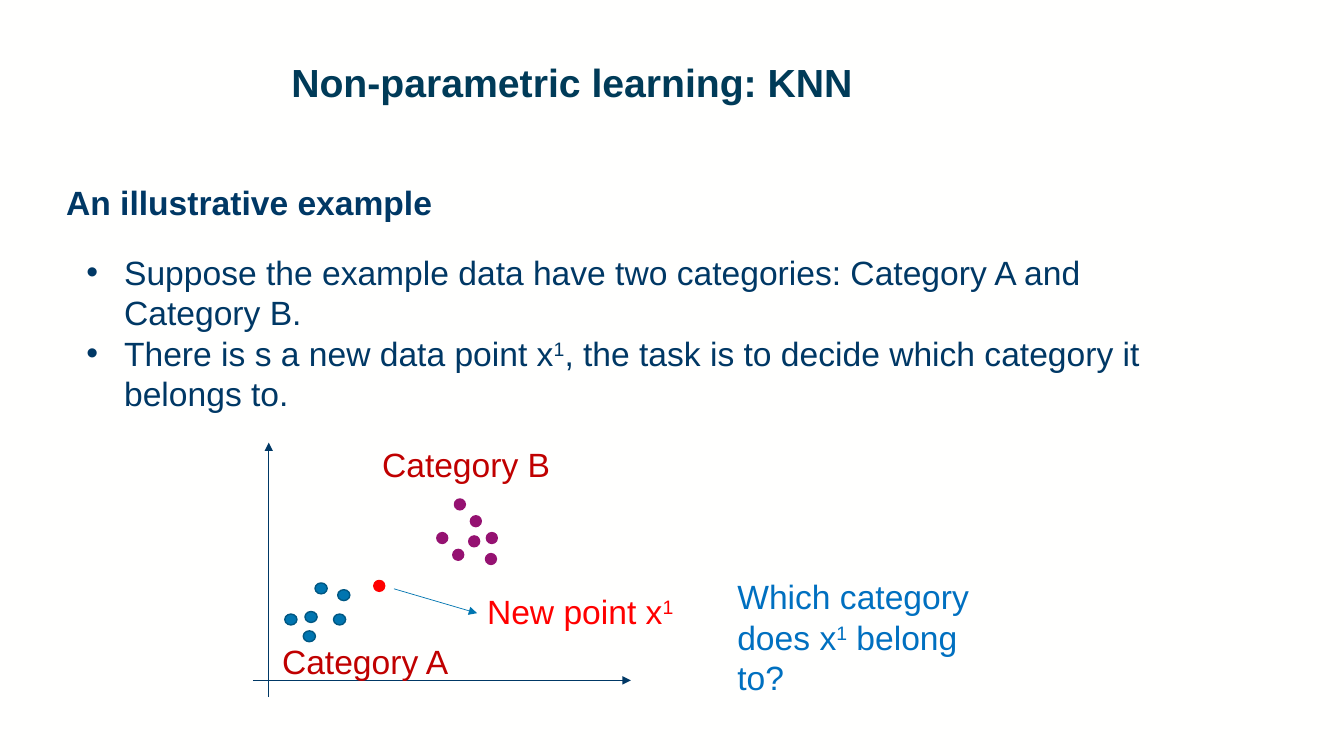
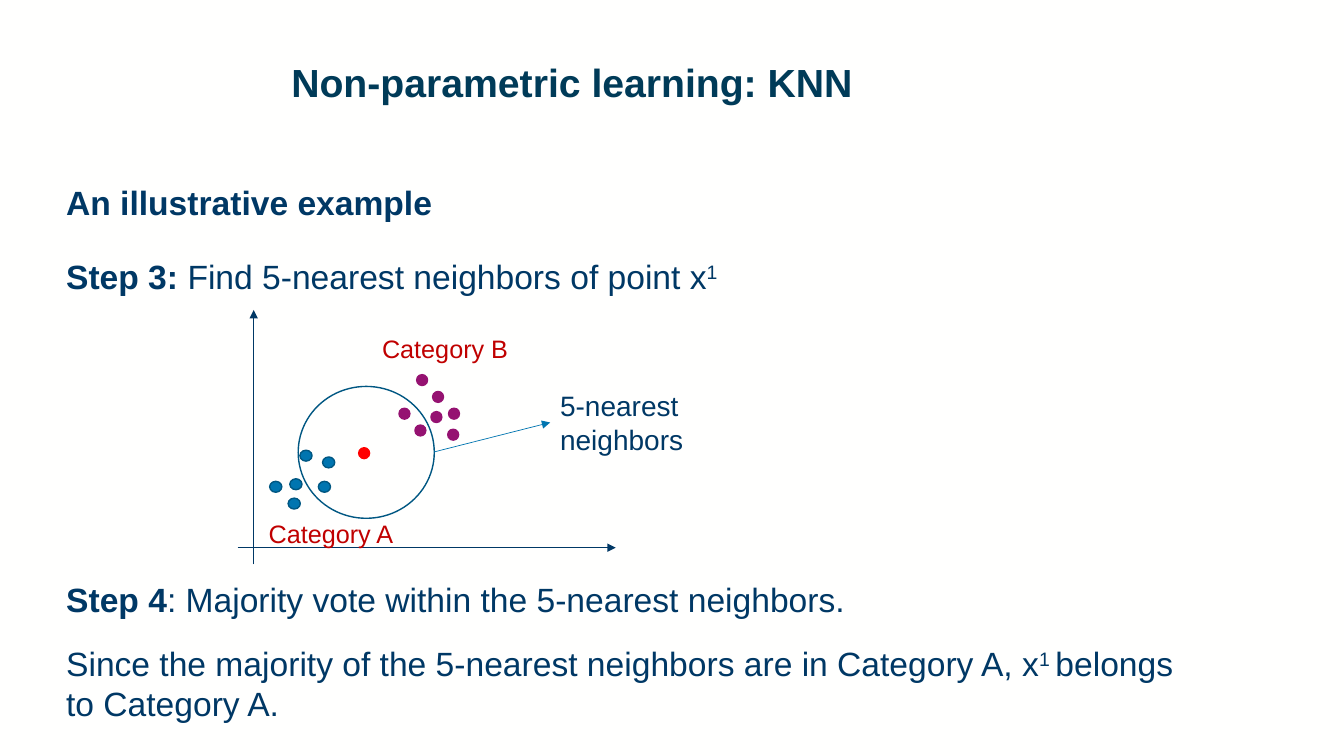
from pptx import Presentation
from pptx.dml.color import RGBColor
from pptx.enum.shapes import MSO_CONNECTOR, MSO_SHAPE
from pptx.oxml import parse_xml
from pptx.oxml.ns import nsdecls
from pptx.util import Emu, Pt

# Grid: 160 columns by 90 rows of 1/12 inch
CELL = 76200
COLUMNS, ROWS = 160, 90

NAVY, TITLE_NAVY, PAPER = "003865", "003B58", "FFFFFE"
BLUE, BLUE_EDGE, QUESTION_BLUE = "0075B0", "005782", "0070C0"
PURPLE, RED, DARK_RED = "951271", "FF0000", "C00000"

# Category A is placed from the axes' corner, category B from its top dot
A_DOTS = [(5.5, -11.6), (8.2, -10.8), (1.9, -7.9),
          (4.1, -5.9), (7.7, -7.9), (4.3, -8.2)]
B_DOTS = [(0, 0), (1.9, 2), (-2.1, 4), (-0.2, 6),
          (1.7, 4.4), (3.7, 6.5), (3.8, 4)]
NEW_POINT = (12.5, -11.9)


def color(value):
    return RGBColor.from_string(value)


def grid(*cells):
    return [Emu(round(cell * CELL)) for cell in cells]


def bold(text):
    return text, "bold"


def raised(text):
    return text, "raised"


class Lesson:
    """Holds the shared style and the current page."""

    font = "Arial"
    body_size = 24

    def __init__(self):
        self.deck = Presentation()
        self.deck.slide_width, self.deck.slide_height = grid(COLUMNS, ROWS)
        self.page = None

    def new_page(self, title, subtitle):
        self.page = self.deck.slides.add_slide(self.deck.slide_layouts[6])
        fill = self.page.background.fill
        fill.solid()
        fill.fore_color.rgb = color(PAPER)
        self.text((33.5, 7, 120.8, 11.6), [[bold(title)]],
                  TITLE_NAVY, 28, spacing=0.9)
        self.text((6.7, 21.1, 97.4, 6), [[bold(subtitle)]])

    def text(self, place, paras, ink=NAVY, size=body_size,
             spacing=None, bullets=False):
        """Each paragraph is a list of plain strings or styled spans."""
        box = self.page.shapes.add_textbox(*grid(*place))
        frame = box.text_frame
        frame.word_wrap = True
        for index, spans in enumerate(paras):
            para = frame.add_paragraph() if index else frame.paragraphs[0]
            if spacing:
                para.line_spacing = spacing
            if bullets:
                self.bullet(para)
            for item in spans:
                words, style = (item, "") if isinstance(item, str) else item
                span = para.add_run()
                span.text = words
                span.font.name = self.font
                span.font.size = Pt(size)
                span.font.bold = style == "bold"
                span.font.color.rgb = color(ink)
                if style == "raised":
                    span._r.get_or_add_rPr().set("baseline", "30000")

    def bullet(self, para):
        indent = grid(4.5)[0]
        properties = para._p.get_or_add_pPr()
        properties.set("marL", str(indent))
        properties.set("indent", str(-indent))
        properties.append(parse_xml(
            f'<a:buFont {nsdecls("a")} typeface="{self.font}"/>'))
        properties.append(parse_xml(f'<a:buChar {nsdecls("a")} char="•"/>'))

    def ellipse(self, place, edge, fill=None):
        shape = self.page.shapes.add_shape(MSO_SHAPE.OVAL, *grid(*place))
        shape.shadow.inherit = False
        if fill:
            shape.fill.solid()
            shape.fill.fore_color.rgb = color(fill)
        else:
            shape.fill.background()
        shape.line.color.rgb = color(edge)
        shape.line.width = Pt(1)

    def dots(self, origin, offsets, fill, edge, width=1.3):
        for across, down in offsets:
            self.ellipse((origin[0] + across, origin[1] + down, width, 1.3),
                         edge, fill)

    def arrow(self, start, end, ink=NAVY, width=1):
        line = self.page.shapes.add_connector(
            MSO_CONNECTOR.STRAIGHT, *grid(*start, *end))
        line.line.color.rgb = color(ink)
        line.line.width = Pt(width)
        line.line._get_or_add_ln().append(parse_xml(
            f'<a:tailEnd {nsdecls("a")} type="triangle"/>'))
        line._element.spPr.append(parse_xml(
            f'<a:effectLst {nsdecls("a")}/>'))

    def plot(self, corner, b_top, a_label, b_label, size):
        """Draw the axes, both categories and the new point."""
        left, base = corner
        self.arrow((left - 1.9, base), (left + 43.1, base))
        self.arrow((left, base + 2), (left, base - 28.3))
        self.dots(corner, A_DOTS, BLUE, BLUE_EDGE, 1.45)
        self.dots(b_top, B_DOTS, PURPLE, PURPLE)
        self.dots(corner, [NEW_POINT], RED, RED)
        self.text(a_label, [["Category A"]], DARK_RED, size)
        self.text(b_label, [["Category B"]], DARK_RED, size)


def main():
    lesson = Lesson()
    heading = ("Non-parametric learning: KNN", "An illustrative example")

    # The question
    lesson.new_page(*heading)
    lesson.text((9.1, 29.4, 129.1, 20.6), [
        ["Suppose the example data have two categories: "
         "Category A and Category B."],
        ["There is s a new data point x", raised("1"),
         ", the task is to decide which category it belongs to."],
    ], bullets=True)
    lesson.plot((32, 81), (54.1, 59.4),
                (32.4, 75.7, 25.2, 6), (44.3, 52.2, 24.8, 6), 24)
    lesson.arrow((46.9, 70.1), (56.8, 73), BLUE, 0.5)
    lesson.text((56.8, 69.8, 27.1, 6), [["New point x", raised("1")]], RED)
    lesson.text((86.6, 68, 34, 10.9),
                [["Which category does x", raised("1"), " belong to?"]],
                QUESTION_BLUE)

    # Neighbours and vote
    lesson.new_page(*heading)
    lesson.plot((30.2, 65.2), (49.6, 44.6),
                (30.8, 61.1, 22, 4.8), (44.3, 39.1, 21.2, 4.8), 18)
    lesson.ellipse((35.5, 46, 16.2, 15.7), BLUE_EDGE)
    lesson.arrow((51.7, 53.8), (65.5, 50.3), BLUE, 0.5)
    lesson.text((65.5, 45.7, 31, 9.2), [["5-nearest neighbors"]], size=20)
    lesson.text((6.7, 29.9, 83.5, 6),
                [[bold("Step 3: "), "Find 5-nearest neighbors of point x",
                  raised("1")]])
    lesson.text((6.7, 68.3, 100.9, 6),
                [[bold("Step 4"),
                  ": Majority vote within the 5-nearest neighbors."]])
    lesson.text((6.7, 75.9, 135.4, 10.9),
                [["Since the majority of the 5-nearest neighbors are in "
                  "Category A, x", raised("1 "), "belongs to Category A."]])

    lesson.deck.save("out.pptx")


if __name__ == "__main__":
    main()
